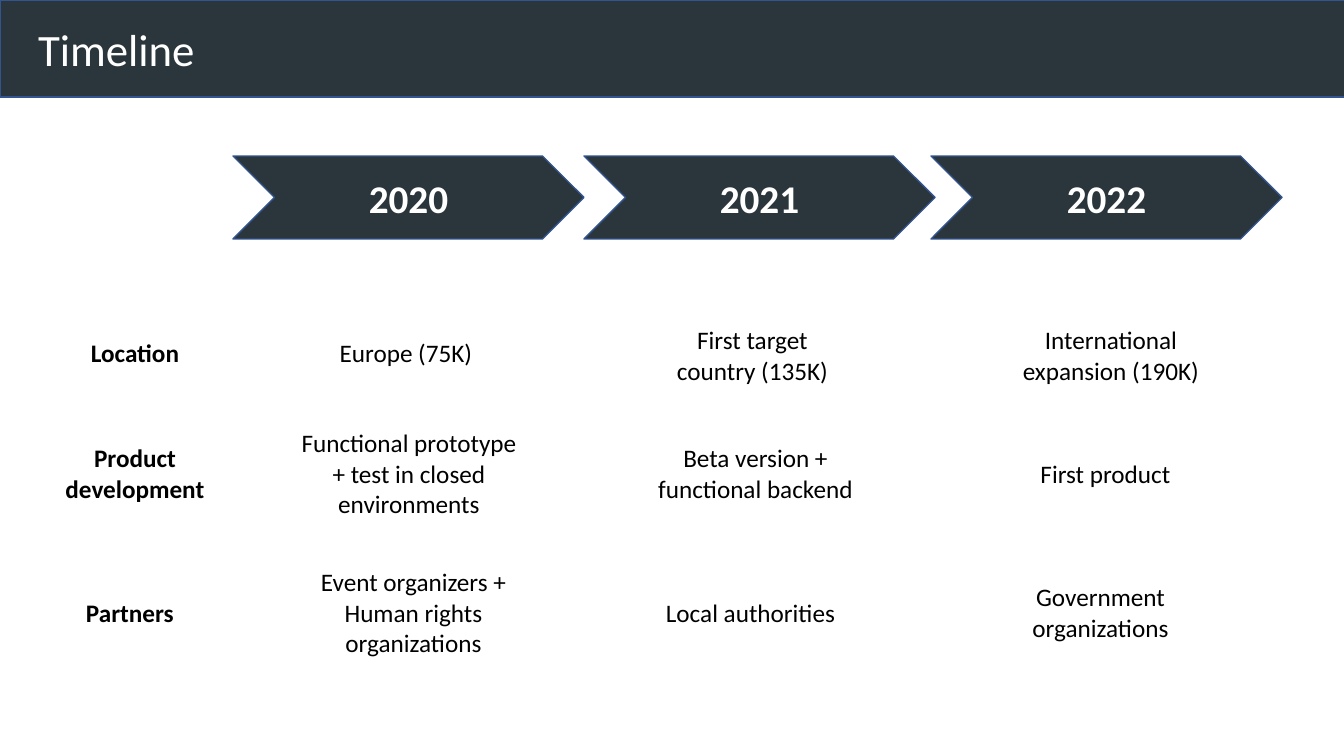
from pptx import Presentation
from pptx.dml.color import RGBColor
from pptx.enum.shapes import MSO_SHAPE as Shape
from pptx.enum.text import MSO_ANCHOR as Anchor, PP_ALIGN as Align
from pptx.util import Emu, Pt

COLORS = {"slate": "2A363B", "border": "325491", "white": "FFFFFF", "black": "000000"}
SCALE = 914400 / 100.8


def px(length):
    return Emu(round(length * SCALE))


def add_block(kind, box, text, fill, line, align, font_values):
    shape = slide.shapes.add_shape(kind, *[px(length) for length in box])
    shape.shadow.inherit = False
    shape.fill.solid()
    shape.fill.fore_color.rgb = RGBColor.from_string(COLORS[fill])
    if line:
        shape.line.color.rgb = RGBColor.from_string(COLORS[line])
        shape.line.width = Pt(1)
    else:
        shape.line.fill.background()
    frame = shape.text_frame
    frame.word_wrap = True
    frame.vertical_anchor = Anchor.MIDDLE
    paragraph = frame.paragraphs[0]
    paragraph.alignment = align
    run = paragraph.add_run()
    run.text = text
    for name, value in font_values.items():
        setattr(run.font, name, value)
    text_color = "white" if fill == "slate" else "black"
    run.font.color.rgb = RGBColor.from_string(COLORS[text_color])
    return shape


presentation = Presentation()
presentation.slide_width = px(1344)
presentation.slide_height = px(756)
slide = presentation.slides.add_slide(presentation.slide_layouts[6])

title_font = {"name": "Calibri", "size": Pt(32), "bold": False}
year_font = {"name": "Calibri", "size": Pt(28), "bold": True}
label_font = {"name": "Calibri", "size": Pt(18), "bold": True}
cell_font = {"name": "Calibri", "size": Pt(18), "bold": False}

title = add_block(Shape.RECTANGLE, (0, 0, 1349, 97), "Timeline",
                  "slate", "border", Align.LEFT, title_font)
title.text_frame.margin_left = px(38)

for year, left in [("2020", 233), ("2021", 584), ("2022", 931)]:
    add_block(Shape.CHEVRON, (left, 156, 351, 83), year,
              "slate", "border", Align.CENTER, year_font)

columns = [
    (label_font, [("Location", 39, 298, 192),
                  ("Product development", 39, 419, 192),
                  ("Partners", 34, 558, 192)]),
    (cell_font, [("Europe (75K)", 310, 298, 192),
                 ("Functional prototype + test in closed environments", 279, 419, 260),
                 ("Event organizers + Human rights organizations", 288, 558, 251)]),
    (cell_font, [("First target country (135K)", 652, 301, 201),
                 ("Beta version + functional backend", 630, 419, 251),
                 ("Local authorities", 639, 558, 223)]),
    (cell_font, [("International expansion (190K)", 1005, 301, 212),
                 ("First product", 980, 419, 251),
                 ("Government organizations", 989, 558, 223)]),
]
for font_values, cells in columns:
    for text, left, top, width in cells:
        add_block(Shape.FLOWCHART_ALTERNATE_PROCESS, (left, top, width, 108), text,
                  "white", None, Align.CENTER, font_values)

presentation.save("out.pptx")
